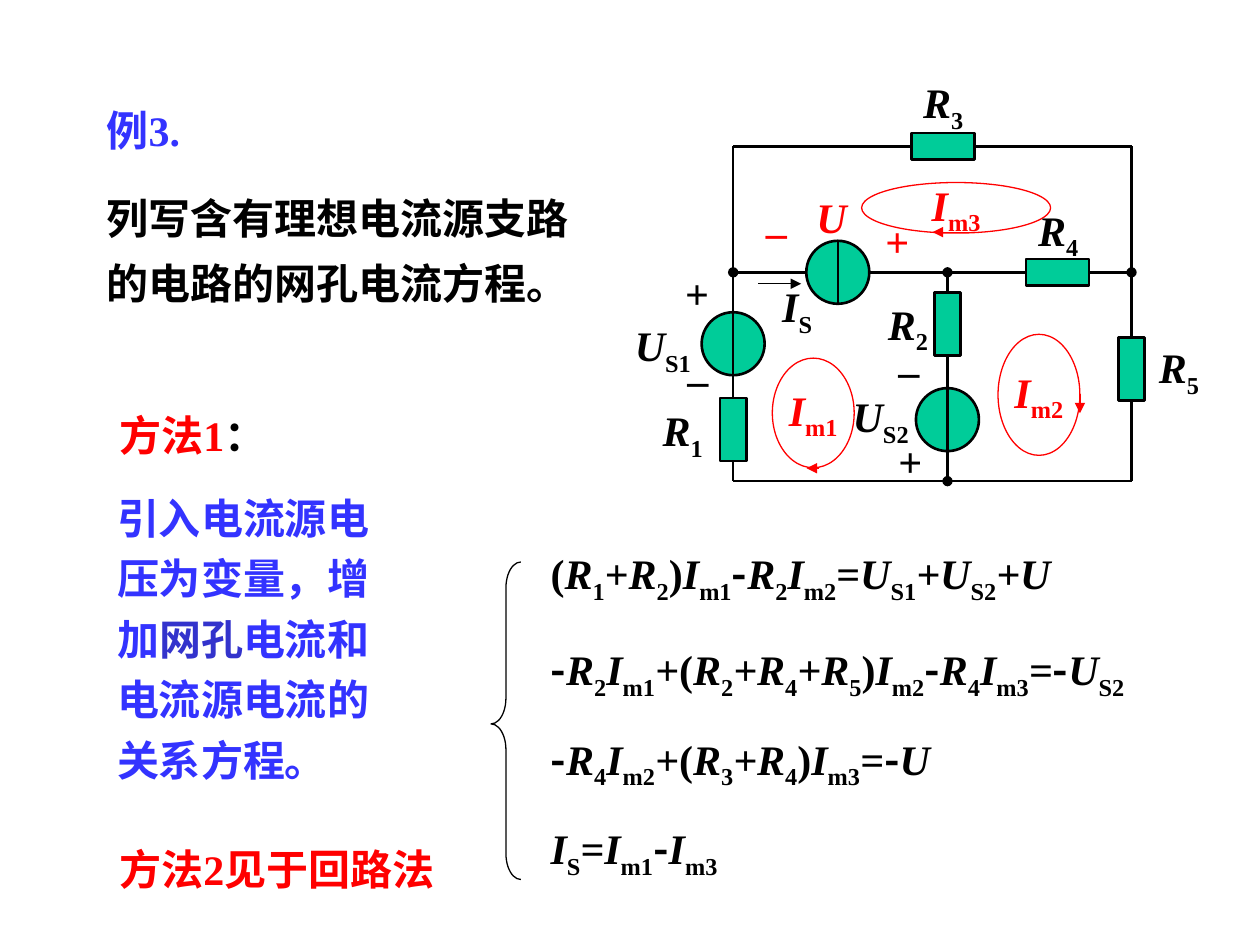
"""Build a slide on mesh analysis of a circuit with an ideal current source."""
from lxml import etree
from pptx import Presentation
from pptx.dml.color import RGBColor
from pptx.enum.lang import MSO_LANGUAGE_ID as Lang
from pptx.enum.shapes import MSO_CONNECTOR as Link, MSO_SHAPE as Shape
from pptx.enum.text import MSO_ANCHOR as Anchor, MSO_AUTO_SIZE as Fit, PP_ALIGN as Align
from pptx.oxml.ns import qn
from pptx.util import Cm, Pt

BLACK = RGBColor(0x00, 0x00, 0x00)
RED = RGBColor(0xFF, 0x00, 0x00)
BLUE = RGBColor(0x33, 0x33, 0xFF)
DARK_BLUE = RGBColor(0x33, 0x33, 0xCC)
GREEN = RGBColor(0x00, 0xCC, 0x99)

LEFT, MIDDLE, RIGHT = 14.78, 19.1, 22.81
TOP, CENTRE, BOTTOM = 2.95, 5.49, 9.7
SIZE, THIN = 1.27, 0.53
SOURCE_X = 16.89

deck = Presentation()
deck.slide_width, deck.slide_height = Cm(25.4), Cm(19.05)
page = deck.slides.add_slide(deck.slide_layouts[6])


def write(para, markup, color):
    """Add one run per token: * marks italics, ~ marks a subscript."""
    for token in markup.split():
        span = para.add_run()
        span.text = token.lstrip("*~")
        font = span.font
        font.size, font.bold = Pt(24), True
        font.name = "Noto Sans CJK SC" if token == "-" else "Times New Roman"
        font.language_id = Lang.SIMPLIFIED_CHINESE
        font.color.rgb = color
        font.italic = token.startswith("*")
        if token.startswith("~"):
            font._element.set("baseline", "-25000")


def add_text(left, top, width, height, wrap=True):
    """Add a text box and return its first paragraph."""
    box = page.shapes.add_textbox(Cm(left), Cm(top), Cm(width), Cm(height))
    box.text_frame.word_wrap = wrap
    box.text_frame.auto_size = Fit.SHAPE_TO_FIT_TEXT
    return box.text_frame.paragraphs[0]


passages = [
    (1.9, 1.98, 2.54, 1.27, 1.0, [("例3.", BLUE)]),
    (1.9, 3.45, 9.93, 2.9, 1.3, [("列写含有理想电流源支路的电路的网孔电流方程。", BLACK)]),
    (2.11, 9.6, 5.94, 6.35, 1.2, [
        ("引入电流源电压为变量，增加", BLUE),
        ("网孔", DARK_BLUE),
        ("电流和电流源电流的关系方程。", BLUE),
    ]),
    (2.16, 8.13, 4.75, 1.27, 1.0, [("方法1", RED), ("：", BLACK)]),
    (2.16, 16.87, 7.75, 1.27, 1.0, [("方法2见于回路法", RED)]),
]
for left, top, width, height, spacing, parts in passages:
    para = add_text(left, top, width, height)
    para.line_spacing = spacing
    for words, color in parts:
        write(para, words, color)

equations = [
    (10.92, 12.45, "( *R ~1 + *R ~2 ) *I ~m1 - *R ~2 *I ~m2 = *U ~S1 *+U ~S2 *+U"),
    (12.85, 13.84, "- *R ~2 *I ~m1 *+ ( *R ~2 *+R ~4 *+R ~5 ) *I ~m2 - *R ~4 *I ~m3 *= - *U ~S2"),
    (14.66, 10.44, "- *R ~4 *I ~m2 *+ ( *R ~3 *+R ~4 ) *I ~m3 *= - *U"),
    (16.46, 5.64, "*I ~S *=I ~m1 - *I ~m3"),
]
for top, width, formula in equations:
    write(add_text(10.85, top, width, 1.42), formula, BLACK)

brace = page.shapes.add_shape(Shape.LEFT_BRACE, Cm(9.9), Cm(11.33), Cm(0.6), Cm(6.4))
brace.shadow.inherit = False
brace.fill.background()
brace.line.color.rgb, brace.line.width = BLACK, Pt(0.75)
brace.adjustments[0], brace.adjustments[1] = 0.87, 0.51

meshes = [
    (15.57, 7.22, 1.65, 2.21, "*I ~m1"),
    (20.12, 6.74, 1.65, 2.44, "*I ~m2"),
    (17.37, 3.68, 3.81, 1.02, "*I ~m3"),
]
for left, top, width, height, name in meshes:
    mesh = page.shapes.add_shape(Shape.OVAL, Cm(left), Cm(top), Cm(width), Cm(height))
    mesh.shadow.inherit = False
    mesh.fill.background()
    mesh.line.color.rgb, mesh.line.width = RED, Pt(0.75)
    frame = mesh.text_frame
    frame.word_wrap, frame.vertical_anchor = False, Anchor.MIDDLE
    frame.paragraphs[0].alignment = Align.CENTER
    write(frame.paragraphs[0], name, RED)

sources = [
    (Shape.OVAL, MIDDLE, 8.46, SIZE, SIZE),
    (Shape.OVAL, LEFT, 6.93, SIZE, SIZE),
    (Shape.OVAL, SOURCE_X, CENTRE, SIZE, SIZE),
]
resistors = [
    (Shape.RECTANGLE, LEFT, 8.66, THIN, SIZE),
    (Shape.RECTANGLE, MIDDLE, 6.53, THIN, SIZE),
    (Shape.RECTANGLE, RIGHT, 7.44, THIN, SIZE),
    (Shape.RECTANGLE, 19.01, TOP, SIZE, THIN),
    (Shape.RECTANGLE, 21.32, CENTRE, SIZE, THIN),
]
radius = SIZE / 2
wires = [
    (SOURCE_X, CENTRE - radius, SOURCE_X, CENTRE + radius, None, None),
    (SOURCE_X - radius, CENTRE, LEFT, CENTRE, None, "oval"),
    (SOURCE_X + radius, CENTRE, RIGHT, CENTRE, None, "oval"),
    (LEFT, TOP, LEFT, BOTTOM, None, None),
    (MIDDLE, CENTRE, MIDDLE, BOTTOM, "oval", "oval"),
    (LEFT, BOTTOM, RIGHT, BOTTOM, None, None),
    (RIGHT, BOTTOM, RIGHT, TOP, None, None),
    (LEFT, TOP, RIGHT, TOP, None, None),
]
arrows = [
    (16.51, 9.44, 16.26, 9.44, RED),
    (21.77, 7.95, 21.77, 8.33, RED),
    (19.63, 4.68, 18.8, 4.68, RED),
    (15.29, 5.72, 16.15, 5.72, BLACK),
]
lines = [(*wire, BLACK, 1.5) for wire in wires]
lines += [(*ends, None, "triangle", color, 0.75) for *ends, color in arrows]

for group in (sources, lines, resistors):
    if group is lines:
        for x1, y1, x2, y2, head, tail, color, weight in lines:
            line = page.shapes.add_connector(Link.STRAIGHT, Cm(x1), Cm(y1), Cm(x2), Cm(y2))
            line.line.color.rgb, line.line.width = color, Pt(weight)
            stroke = line.line._get_or_add_ln()
            for tag, kind in (("a:headEnd", head), ("a:tailEnd", tail)):
                if kind:
                    etree.SubElement(stroke, qn(tag), type=kind)
            etree.SubElement(line._element.spPr, qn("a:effectLst"))
        continue
    for outline, x, y, width, height in group:
        part = page.shapes.add_shape(
            outline, Cm(x - width / 2), Cm(y - height / 2), Cm(width), Cm(height))
        part.shadow.inherit = False
        part.fill.solid()
        part.fill.fore_color.rgb = GREEN
        part.line.color.rgb, part.line.width = BLACK, Pt(1.5)

labels = [
    ("*U ~S1", 12.55, 6.32, 1.7, BLACK),
    ("*U ~S2", 16.94, 7.75, 1.7, BLACK),
    ("*R ~1", 13.11, 8.03, 1.4, BLACK),
    ("*R ~2", 17.65, 5.89, 1.4, BLACK),
    ("*R ~3", 18.36, 1.42, 1.4, BLACK),
    ("*R ~4", 20.68, 3.99, 1.4, BLACK),
    ("*R ~5", 23.11, 6.76, 1.4, BLACK),
    ("*I ~S", 15.52, 5.54, 1.3, BLACK),
    ("*U", 16.21, 3.73, 1.12, RED),
    ("_", 15.19, 3.73, 0.94, RED),
    ("+", 17.6, 4.22, 0.99, RED),
    ("_", 17.86, 6.53, 0.94, BLACK),
    ("+", 17.86, 8.66, 0.99, BLACK),
    ("+", 13.56, 5.26, 0.99, BLACK),
    ("_", 13.61, 6.71, 0.94, BLACK),
]
for name, left, top, width, color in labels:
    height = 1.42 if "~" in name else 1.27
    write(add_text(left, top, width, height, wrap=False), name, color)

deck.save("out.pptx")
